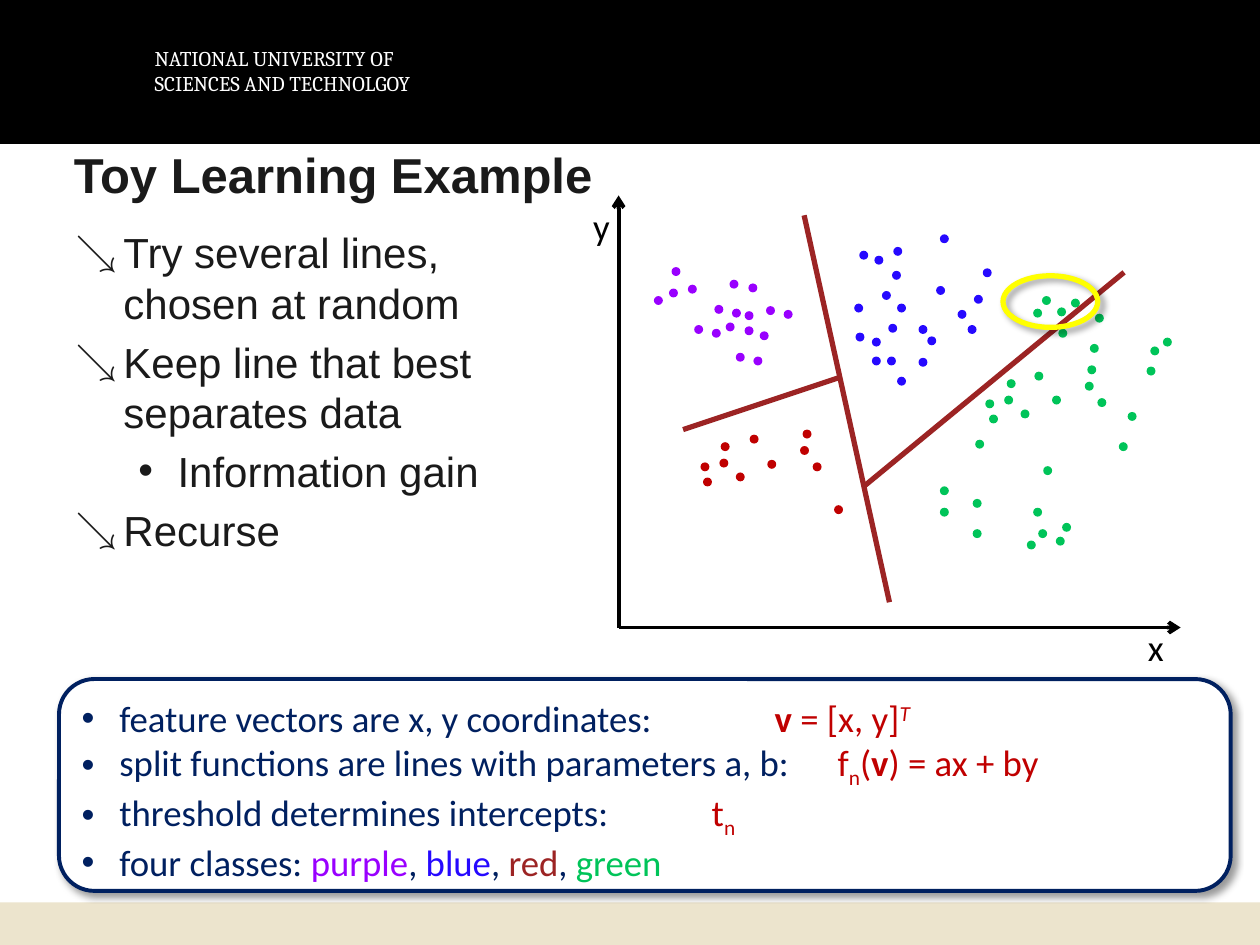
from typing import NamedTuple, Optional

from lxml.etree import SubElement
from pptx import Presentation
from pptx.dml.color import RGBColor
from pptx.enum.shapes import MSO_CONNECTOR, MSO_SHAPE
from pptx.enum.text import MSO_ANCHOR
from pptx.oxml.ns import qn
from pptx.util import Cm, Pt

BLACK = RGBColor(0x00, 0x00, 0x00)
WHITE = RGBColor(0xFF, 0xFF, 0xFF)
BEIGE = RGBColor(0xEC, 0xE4, 0xCD)
INK = RGBColor(0x1A, 0x1A, 0x1A)
NAVY = RGBColor(0x00, 0x20, 0x60)
PURPLE = RGBColor(0x99, 0x00, 0xFF)
BLUE = RGBColor(0x26, 0x09, 0xFF)
RED = RGBColor(0xC0, 0x00, 0x00)
BRICK = RGBColor(0x9C, 0x24, 0x24)
GREEN = RGBColor(0x00, 0xC4, 0x59)
YELLOW = RGBColor(0xFF, 0xFF, 0x00)

GRID = Cm(2.54) / 100  # dot positions are whole steps of this grid
DOT = Cm(0.18)


class Run(NamedTuple):
    text: str
    color: RGBColor
    bold: bool = False
    italic: bool = False
    baseline: int = 0


class Bullet(NamedTuple):
    char: str
    left: float
    hang: float


class Para(NamedTuple):
    runs: list[Run]
    bullet: Optional[Bullet] = None


class Cluster(NamedTuple):
    color: RGBColor
    dots: list[tuple[int, int]]


class Segment(NamedTuple):
    start: tuple[float, float]
    end: tuple[float, float]


ARROW = Bullet("↘", 0.97, 0.97)
SUB_DOT = Bullet("•", 2.06, 0.79)
PANEL_DOT = Bullet("•", 0.76, 0.76)

BODY = [
    Para([Run("Try several lines, chosen at random", INK)], ARROW),
    Para([Run("Keep line that best separates data", INK)], ARROW),
    Para([Run("Information gain", INK)], SUB_DOT),
    Para([Run("Recurse", INK)], ARROW),
]

PANEL = [
    Para([Run("feature vectors are x, y coordinates:\t\t", NAVY), Run("v ", RED, bold=True),
          Run("= [x, y]", RED), Run("T", RED, italic=True, baseline=30)], PANEL_DOT),
    Para([Run("split functions are lines with parameters a, b:\t", NAVY), Run("f", RED),
          Run("n", RED, baseline=-25), Run("(", RED), Run("v", RED, bold=True),
          Run(") = ax + by", RED)], PANEL_DOT),
    Para([Run("threshold determines intercepts:\t\t", NAVY), Run("t", RED),
          Run("n", RED, baseline=-25)], PANEL_DOT),
    Para([Run("four classes: ", NAVY), Run("purple", PURPLE), Run(", ", NAVY),
          Run("blue", BLUE), Run(", ", NAVY), Run("red", BRICK), Run(", ", NAVY),
          Run("green", GREEN)], PANEL_DOT),
]

CLUSTERS = [
    Cluster(PURPLE, [
        (519, 235), (551, 258), (591, 247), (576, 256), (579, 222), (567, 242),
        (584, 280), (608, 243), (533, 212), (531, 229), (565, 261), (603, 263),
        (591, 259), (594, 225), (581, 245), (598, 283), (622, 246), (546, 226)]),
    Cluster(BLUE, [
        (682, 199), (678, 241), (773, 234), (729, 258), (746, 186), (712, 241),
        (704, 283), (760, 246), (709, 196), (694, 203), (700, 231), (729, 284),
        (736, 267), (780, 213), (743, 227), (712, 299), (768, 258), (708, 215),
        (679, 264), (705, 257), (692, 268), (692, 283)]),
    Cluster(RED, [
        (637, 341), (595, 345), (662, 401), (558, 379), (645, 367), (635, 354),
        (609, 365), (572, 351), (584, 375), (571, 364), (556, 367)]),
    Cluster(GREEN, [
        (828, 370), (772, 420), (774, 349), (843, 415), (746, 386), (746, 403),
        (772, 396), (815, 429), (820, 403), (824, 420), (838, 426), (863, 290),
        (821, 295), (888, 351), (785, 329), (871, 316), (861, 303), (835, 314),
        (799, 301), (810, 325), (797, 314), (782, 317), (923, 268), (869, 249),
        (895, 327), (820, 245), (910, 291), (913, 275), (865, 273), (850, 237),
        (840, 261), (839, 244), (827, 235)]),
]

ORIGIN = (12.47, 12.65)
AXES = [Segment(ORIGIN, (23.8, 12.65)), Segment(ORIGIN, (12.47, 3.94))]
SPLITS = [
    Segment((17.93, 12.14), (16.21, 4.34)),
    Segment((13.77, 8.66), (16.89, 7.62)),
    Segment((22.66, 5.49), (17.42, 9.8)),
]


def set_bullet(p, bullet: Bullet, color: RGBColor) -> None:
    pPr = p._p.get_or_add_pPr()
    pPr.set("marL", str(Cm(bullet.left)))
    pPr.set("indent", str(-Cm(bullet.hang)))
    SubElement(SubElement(pPr, qn("a:buClr")), qn("a:srgbClr"), val=str(color))
    SubElement(pPr, qn("a:buFont"), typeface="Arial")
    SubElement(pPr, qn("a:buChar"), char=bullet.char)


def write(tf, paras: list[Para], *, size: float, font: str, gap: float = 0,
          anchor=MSO_ANCHOR.TOP) -> None:
    """Fill a text frame; gap is the space in points between paragraphs."""
    tf.word_wrap = True
    tf.vertical_anchor = anchor
    for i, para in enumerate(paras):
        p = tf.paragraphs[0] if i == 0 else tf.add_paragraph()
        p.alignment = 1
        if para.bullet:
            set_bullet(p, para.bullet, para.runs[0].color)
        if i and gap:
            p.space_before = Pt(gap)
        for run in para.runs:
            r = p.add_run()
            r.text = run.text
            r.font.size, r.font.name = Pt(size), font
            r.font.bold, r.font.italic = run.bold, run.italic
            r.font.color.rgb = run.color
            if run.baseline:
                r.font._element.set("baseline", str(run.baseline * 1000))


def add_text(s, box: tuple, paras: list[Para], **style) -> None:
    write(s.shapes.add_textbox(*map(Cm, box)).text_frame, paras, **style)


def add_shape(s, kind, box: tuple, *, fill=None, line=None, width: float = 1):
    """Add a shape without shadow; box is in EMU lengths."""
    sp = s.shapes.add_shape(kind, *box)
    sp.shadow.inherit = False
    if fill is None:
        sp.fill.background()
    else:
        sp.fill.solid()
        sp.fill.fore_color.rgb = fill
    if line is None:
        sp.line.fill.background()
    else:
        sp.line.color.rgb = line
        sp.line.width = Pt(width)
    return sp


def add_shadow(sp) -> None:
    effects = sp._element.spPr.find(qn("a:effectLst"))
    shadow = SubElement(effects, qn("a:outerShdw"), blurRad=str(Pt(4)), dist=str(Pt(3)),
                        dir=str(45 * 60000), algn="tl", rotWithShape="0")
    color = SubElement(shadow, qn("a:srgbClr"), val=str(BLACK))
    SubElement(color, qn("a:alpha"), val="40000")


def add_line(s, seg: Segment, color: RGBColor, width: float, arrow: bool = False) -> None:
    cx = s.shapes.add_connector(MSO_CONNECTOR.STRAIGHT, *map(Cm, seg.start + seg.end))
    cx.line.color.rgb = color
    cx.line.width = Pt(width)
    if arrow:
        SubElement(cx.line._get_or_add_ln(), qn("a:tailEnd"), type="arrow")
    SubElement(cx._element.spPr, qn("a:effectLst"))


def main() -> None:
    prs = Presentation()
    prs.slide_width, prs.slide_height = Cm(25.4), Cm(19.05)
    s = prs.slides.add_slide(prs.slide_layouts[6])

    add_shape(s, MSO_SHAPE.RECTANGLE, (0, Cm(18.19), Cm(25.4), Cm(0.86)), fill=BEIGE)
    add_shape(s, MSO_SHAPE.RECTANGLE, (0, 0, Cm(25.4), Cm(2.87)),
              fill=BLACK, line=BLACK, width=2)
    header = [Para([Run(t, WHITE)])
              for t in ("NATIONAL UNIVERSITY OF", "SCIENCES AND TECHNOLGOY")]
    add_text(s, (2.87, 0.79, 6.71, 1.27), header, size=12, font="Cambria")
    add_text(s, (1.24, 2.92, 22.86, 1.19), [Para([Run("Toy Learning Example", INK, bold=True)])],
             size=28, font="Arial", anchor=MSO_ANCHOR.MIDDLE)
    add_text(s, (1.27, 4.45, 9.42, 13.54), BODY, size=24, font="Arial", gap=4.8)

    panel = add_shape(s, MSO_SHAPE.ROUNDED_RECTANGLE, tuple(map(Cm, (1.19, 13.69, 23.62, 4.27))),
                      fill=WHITE, line=NAVY, width=2.25)
    add_shadow(panel)
    write(panel.text_frame, PANEL, size=21, font="Calibri")

    for cluster in CLUSTERS:
        for x, y in cluster.dots:
            add_shape(s, MSO_SHAPE.OVAL, (round(x * GRID), round(y * GRID), DOT, DOT),
                      fill=cluster.color)
    for axis in AXES:
        add_line(s, axis, BLACK, 2.25, arrow=True)
    for label, left, top in (("x", 22.89, 12.47), ("y", 11.71, 3.99)):
        add_text(s, (left, top, 0.86, 1.14), [Para([Run(label, BLACK)])], size=21, font="Calibri")
    for split in SPLITS:
        add_line(s, split, BRICK, 3)
    highlight = add_shape(s, MSO_SHAPE.OVAL, tuple(map(Cm, (20.22, 5.56, 1.91, 1.04))),
                          line=YELLOW, width=3)
    add_shadow(highlight)

    prs.save("out.pptx")


if __name__ == "__main__":
    main()
